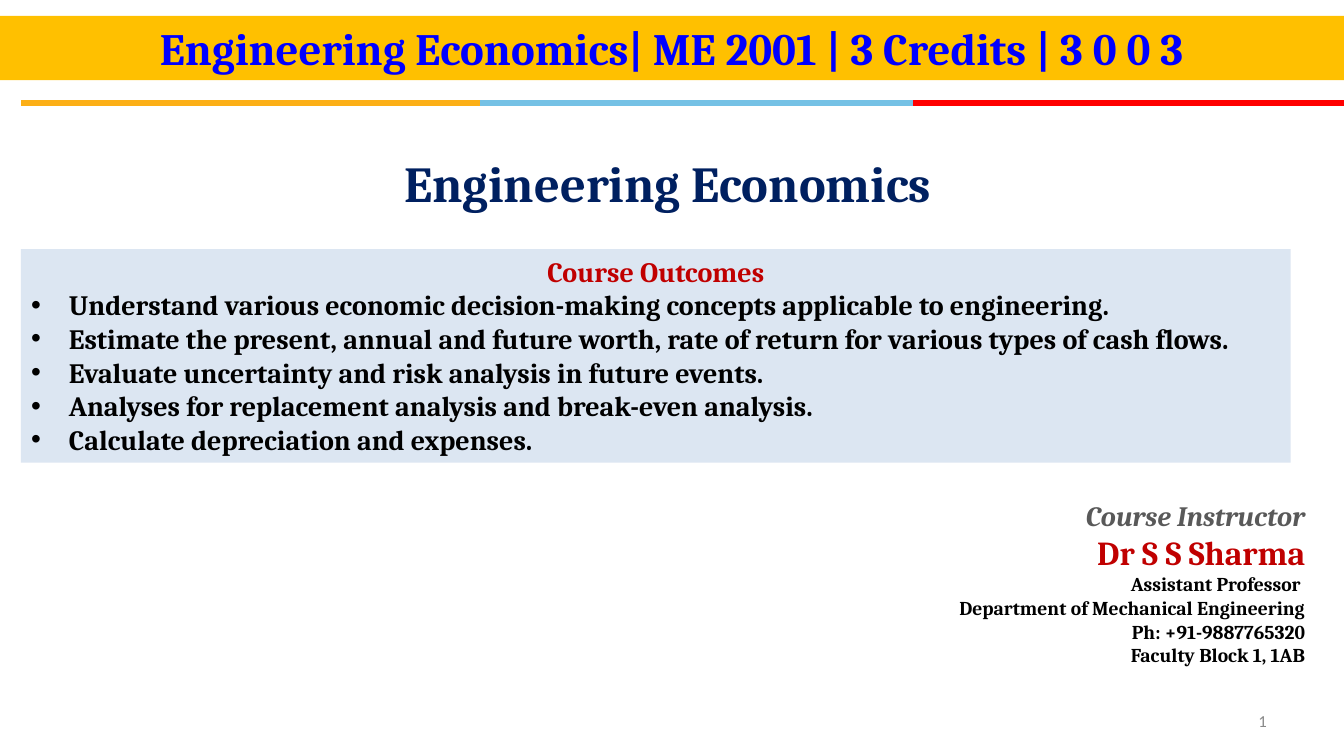
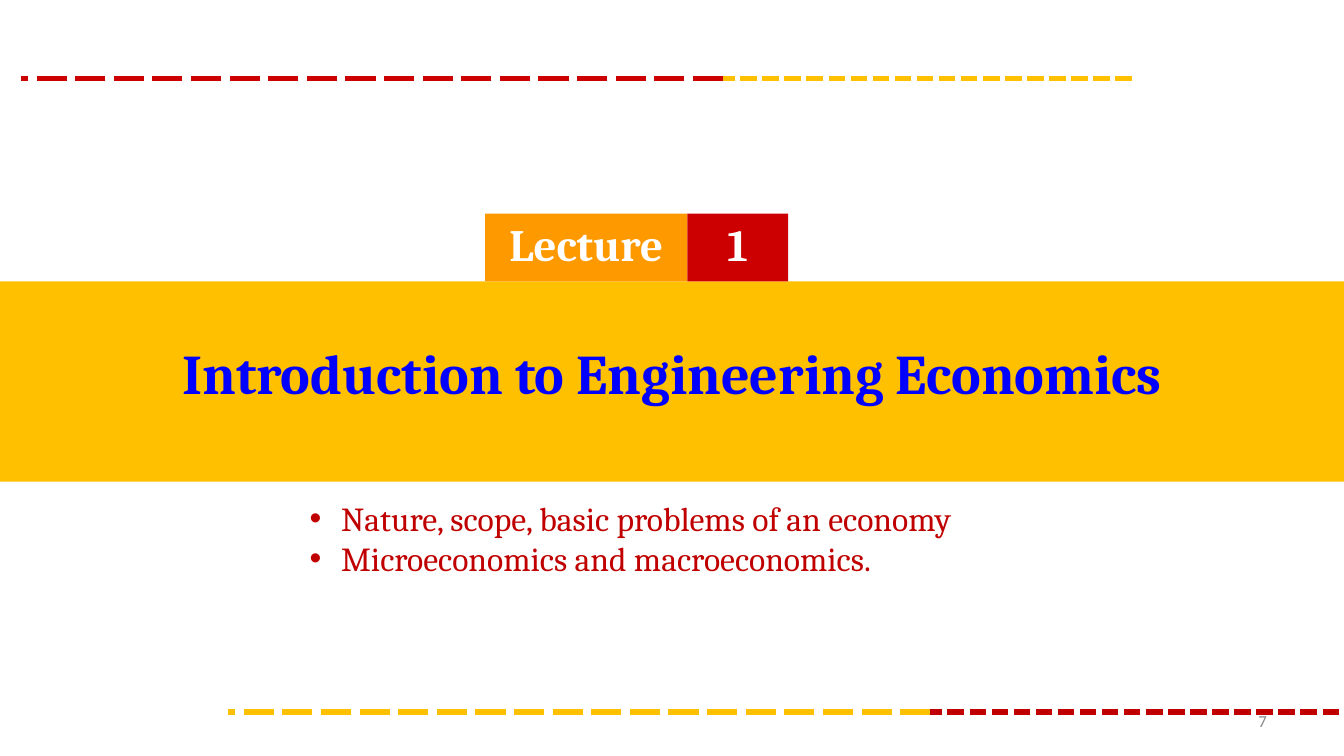
from lxml.etree import SubElement
from pptx import Presentation
from pptx.dml.color import RGBColor
from pptx.enum.shapes import MSO_CONNECTOR, MSO_SHAPE
from pptx.enum.text import MSO_ANCHOR, MSO_AUTO_SIZE, PP_ALIGN
from pptx.oxml.ns import qn
from pptx.util import Pt

PAGE_WIDTH, PAGE_HEIGHT = 960, 540
MARGIN = 15
RULE_WIDTH = 3.94
HEADING_FONT = "Cambria"
NUMBER_FONT = "Calibri"
GOLD, ORANGE, AMBER = "FFC000", "FF9900", "FCAF16"
RED, CRIMSON, BRIGHT_RED = "C00000", "CC0000", "FF0000"
BLUE, NAVY, SKY, PALE_BLUE = "0000FF", "002060", "75C1E5", "DCE6F2"
BLACK, WHITE, GRAY, LIGHT_GRAY = "000000", "FFFFFF", "595959", "898989"
LONG_DASH = (546, 154)
SHORT_DASH = (300, 100)


def rgb(color):
    return RGBColor.from_string(color)


def place(shape, left, top, width, height):
    shape.left, shape.top = Pt(left), Pt(top)
    shape.width, shape.height = Pt(width), Pt(height)


def paint(shape, color):
    shape.fill.solid()
    shape.fill.fore_color.rgb = rgb(color)
    shape.line.fill.background()
    shape.shadow.inherit = False


def set_frame(frame, anchor=MSO_ANCHOR.TOP, top_margin=3.6):
    frame.word_wrap = True
    frame.auto_size = MSO_AUTO_SIZE.NONE
    frame.vertical_anchor = anchor
    frame.margin_left = frame.margin_right = Pt(7.2)
    frame.margin_top, frame.margin_bottom = Pt(top_margin), Pt(3.6)


def set_bullet(para, indent):
    properties = para._p.get_or_add_pPr()
    properties.set("marL", str(Pt(indent)))
    properties.set("indent", str(-Pt(indent)))
    if indent:
        SubElement(properties, qn("a:buFont")).set("typeface", "Arial")
        SubElement(properties, qn("a:buChar")).set("char", "•")
    else:
        SubElement(properties, qn("a:buNone"))


def write_text(frame, text, *, size, color, bold=False, italic=False,
               font=HEADING_FONT, align=PP_ALIGN.LEFT, indent=0):
    first = frame.paragraphs[0]
    para = frame.add_paragraph() if first.runs else first
    para.alignment = align
    para.space_before = para.space_after = Pt(0)
    para.line_spacing = 1.0
    set_bullet(para, indent)
    span = para.add_run()
    span.text = text
    span.font.name = font
    span.font.size = Pt(size)
    span.font.bold = bold
    span.font.italic = italic
    span.font.color.rgb = rgb(color)


def add_text_box(page, left, top, width, height, anchor=MSO_ANCHOR.TOP):
    box = page.shapes.add_textbox(Pt(left), Pt(top), Pt(width), Pt(height))
    set_frame(box.text_frame, anchor)
    return box.text_frame


def add_title_band(page, text, top, height, size, top_margin=3.6):
    title = page.shapes.title
    place(title, 0, top, PAGE_WIDTH, height)
    paint(title, GOLD)
    set_frame(title.text_frame, top_margin=top_margin)
    write_text(title.text_frame, text, size=size, color=BLUE, bold=True,
               align=PP_ALIGN.CENTER)


def place_body(page, left, top, width, height):
    body = page.placeholders[1]
    place(body, left, top, width, height)
    set_frame(body.text_frame)
    return body


def add_rule(page, left, right, top, color, dash=None):
    rule = page.shapes.add_connector(
        MSO_CONNECTOR.STRAIGHT, Pt(right), Pt(top), Pt(left), Pt(top))
    rule.line.color.rgb = rgb(color)
    rule.line.width = Pt(RULE_WIDTH)
    properties = rule._element.spPr
    if dash:
        pattern = SubElement(properties.find(qn("a:ln")), qn("a:custDash"))
        stop = SubElement(pattern, qn("a:ds"))
        stop.set("d", str(dash[0] * 1000))
        stop.set("sp", str(dash[1] * 1000))
    SubElement(properties, qn("a:effectLst"))


def add_dashed_rule(page, left, top, long_color, short_color):
    middle = left + 501.5
    add_rule(page, left, middle, top, long_color, LONG_DASH)
    add_rule(page, middle, middle + 292, top, short_color, SHORT_DASH)


def add_badge(page, text, left, width, color):
    badge = page.shapes.add_shape(
        MSO_SHAPE.RECTANGLE, Pt(left), Pt(152.6), Pt(width), Pt(48.4))
    paint(badge, color)
    set_frame(badge.text_frame, top_margin=2)
    write_text(badge.text_frame, text, size=32, color=WHITE, bold=True,
               align=PP_ALIGN.CENTER)


def add_page_number(page, number):
    frame = add_text_box(page, 688, 500.5, 224, 28.75, MSO_ANCHOR.MIDDLE)
    write_text(frame, str(number), size=12, color=LIGHT_GRAY,
               font=NUMBER_FONT, align=PP_ALIGN.RIGHT)


def build_course_page(deck):
    page = deck.slides.add_slide(deck.slide_layouts[1])
    add_title_band(page, "Engineering Economics| ME 2001 | 3 Credits | 3 0 0 3",
                   11.3, 46, 32)
    stops = (MARGIN, 343, 652, PAGE_WIDTH)
    for left, right, color in zip(stops, stops[1:], (AMBER, SKY, BRIGHT_RED)):
        add_rule(page, left, right, 73.5, color)

    heading = add_text_box(page, 49, 105, 856, 51, MSO_ANCHOR.MIDDLE)
    write_text(heading, "Engineering Economics", size=36, color=NAVY,
               bold=True, align=PP_ALIGN.CENTER)

    body = place_body(page, MARGIN, 178, 907, 152.5)
    paint(body, PALE_BLUE)
    write_text(body.text_frame, "Course Outcomes", size=20, color=RED,
               bold=True, align=PP_ALIGN.CENTER)
    for outcome in (
        "Understand various economic decision-making concepts applicable to engineering.",
        "Estimate the present, annual and future worth, rate of return for various types of cash flows.",
        "Evaluate uncertainty and risk analysis in future events.",
        "Analyses for replacement analysis and break-even analysis.",
        "Calculate depreciation and expenses.",
    ):
        write_text(body.text_frame, outcome, size=20, color=BLACK, bold=True,
                   indent=27)

    instructor = add_text_box(page, MARGIN, 352.5, 924.5, 129)
    for text, size, color, italic in (
        ("Course Instructor", 20, GRAY, True),
        ("Dr S S Sharma", 24, RED, False),
        ("Assistant Professor ", 14, BLACK, False),
        ("Department of Mechanical Engineering", 14, BLACK, False),
        ("Ph: +91-9887765320", 14, BLACK, False),
        ("Faculty Block 1, 1AB", 14, BLACK, False),
    ):
        write_text(instructor, text, size=size, color=color, bold=True,
                   italic=italic, align=PP_ALIGN.RIGHT)
    add_page_number(page, 1)


def build_lecture_page(deck):
    page = deck.slides.add_slide(deck.slide_layouts[1])
    add_title_band(page, "Introduction to Engineering Economics",
                   201, 143, 40, top_margin=41)
    add_badge(page, "Lecture", 346.5, 144.5, ORANGE)
    add_badge(page, "1", 491, 72, CRIMSON)
    add_dashed_rule(page, MARGIN, 56, CRIMSON, GOLD)
    add_dashed_rule(page, 163, 508.5, GOLD, RED)

    body = place_body(page, 214, 352, 533, 65.5)
    for topic in ("Nature, scope, basic problems of an economy",
                  "Microeconomics and macroeconomics."):
        write_text(body.text_frame, topic, size=24, color=RED, indent=22.5)
    add_page_number(page, 7)


def main():
    deck = Presentation()
    deck.slide_width, deck.slide_height = Pt(PAGE_WIDTH), Pt(PAGE_HEIGHT)
    build_course_page(deck)
    build_lecture_page(deck)
    deck.save("out.pptx")


if __name__ == "__main__":
    main()
